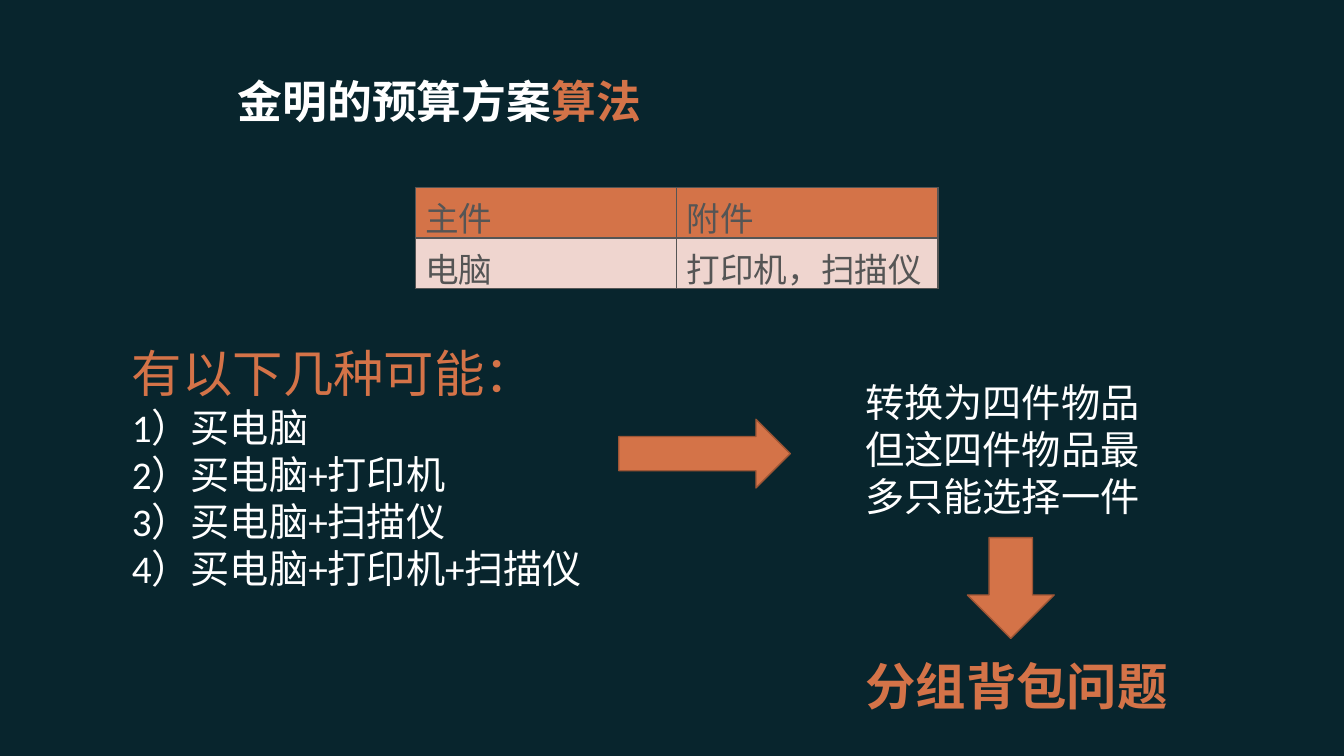
from dataclasses import dataclass

from lxml import etree
from pptx import Presentation
from pptx.dml.color import RGBColor
from pptx.enum import shapes as sh, text as tx
from pptx.oxml import ns
from pptx.util import Pt


@dataclass(frozen=True)
class Theme:
    back: str = "08252D"
    accent: str = "D47348"
    edge: str = "9D5535"
    pale: str = "EFD5CF"
    grey: str = "555555"
    white: str = "FFFFFF"
    title: int = 32
    head: int = 36
    body: int = 28
    cell: int = 24
    latin: str = "Calibri"
    bold: str = "Arial"
    asian: str = "Noto Sans CJK SC"


@dataclass(frozen=True)
class Box:
    x: float
    y: float
    w: float
    h: float

    def args(self) -> tuple:
        return Pt(self.x), Pt(self.y), Pt(self.w), Pt(self.h)


@dataclass(frozen=True)
class Style:
    size: int
    font: str
    color: str
    bold: bool = False


@dataclass(frozen=True)
class Arrow:
    kind: sh.MSO_SHAPE
    box: Box


@dataclass(frozen=True)
class Note:
    box: Box
    lines: tuple
    style: Style


T = Theme()
HEAD = Style(T.head, T.asian, T.accent)
BODY = Style(T.body, T.latin, T.white)
CELL = Style(T.cell, T.latin, T.grey)

TITLE = (
    ("金明的预算方案", Style(T.title, T.bold, T.white, True)),
    ("算法", Style(T.title, T.bold, T.accent, True)),
)
PARTS = (("主件", "附件"), ("电脑", "打印机，扫描仪"))
CASES = ("买电脑", "买电脑+打印机", "买电脑+扫描仪", "买电脑+打印机+扫描仪")
NOTES = (
    Note(Box(611, 266.5, 226, 109.5), ("转换为四件物品", "但这四件物品最多只能选择一件"), BODY),
    Note(Box(611, 464.5, 264, 51), ("分组背包问题",), Style(T.head, T.asian, T.accent, True)),
)
ARROWS = (
    Arrow(sh.MSO_SHAPE.RIGHT_ARROW, Box(442, 299.5, 122.5, 49)),
    Arrow(sh.MSO_SHAPE.DOWN_ARROW, Box(691, 384, 62, 72)),
)


def rgb(code: str) -> RGBColor:
    return RGBColor.from_string(code)


def paint(fill, code: str) -> None:
    fill.solid()
    fill.fore_color.rgb = rgb(code)


def format_run(run, style: Style) -> None:
    font = run.font
    font.size, font.name, font.bold = Pt(style.size), style.font, style.bold
    font.color.rgb = rgb(style.color)
    etree.SubElement(run._r.get_or_add_rPr(), ns.qn("a:ea"), typeface=T.asian)


def format_line(line, style: Style) -> None:
    for run in line.runs:
        format_run(run, style)


def place(shape, box: Box) -> None:
    shape.left, shape.top, shape.width, shape.height = box.args()


def add_title(slide) -> None:
    shape = slide.shapes.title
    place(shape, Box(162.5, 43, 572.5, 57))
    frame = shape.text_frame
    frame.vertical_anchor = tx.MSO_ANCHOR.MIDDLE
    frame.auto_size = tx.MSO_AUTO_SIZE.NONE
    line = frame.paragraphs[0]
    line.alignment = tx.PP_ALIGN.LEFT
    for words, style in TITLE:
        run = line.add_run()
        run.text = words
        format_run(run, style)


def add_cases(slide) -> None:
    shape = slide.placeholders[1]
    place(shape, Box(87, 241, 379.5, 186.5))
    frame = shape.text_frame
    frame.auto_size = tx.MSO_AUTO_SIZE.SHAPE_TO_FIT_TEXT
    items = [f"{n}）{case}" for n, case in enumerate(CASES, 1)]
    frame.text = "\n".join(["有以下几种可能："] + items)
    for n, line in enumerate(frame.paragraphs):
        line.space_before = Pt(0)
        props = line._p.get_or_add_pPr()
        props.set("marL", "0")
        props.set("indent", "0")
        etree.SubElement(props, ns.qn("a:buNone"))
        format_line(line, BODY if n else HEAD)


def add_note(slide, note: Note) -> None:
    frame = slide.shapes.add_textbox(*note.box.args()).text_frame
    frame.word_wrap = True
    frame.auto_size = tx.MSO_AUTO_SIZE.SHAPE_TO_FIT_TEXT
    frame.text = "\n".join(note.lines)
    for line in frame.paragraphs:
        format_line(line, note.style)


def add_arrow(slide, arrow: Arrow) -> None:
    shape = slide.shapes.add_shape(arrow.kind, *arrow.box.args())
    shape.shadow.inherit = False
    paint(shape.fill, T.accent)
    shape.line.color.rgb = rgb(T.edge)
    shape.line.width = Pt(1)


def add_edges(cell) -> None:
    props = cell._tc.get_or_add_tcPr()
    for side in "LRTB":
        edge = etree.SubElement(props, ns.qn(f"a:ln{side}"), w=str(Pt(1)))
        fill = etree.SubElement(edge, ns.qn("a:solidFill"))
        etree.SubElement(fill, ns.qn("a:srgbClr"), val=T.grey)


def add_parts(slide) -> None:
    box = Box(296.5, 134, 373.5, 59)
    rows, cols = len(PARTS), len(PARTS[0])
    table = slide.shapes.add_table(rows, cols, *box.args()).table
    table.horz_banding = False
    for r, words in enumerate(PARTS):
        for c, word in enumerate(words):
            cell = table.cell(r, c)
            cell.text_frame.text = word
            format_line(cell.text_frame.paragraphs[0], CELL)
            add_edges(cell)
            paint(cell.fill, T.pale if r else T.accent)


def main() -> None:
    deck = Presentation()
    deck.slide_width, deck.slide_height = Pt(960), Pt(540)
    slide = deck.slides.add_slide(deck.slide_layouts[1])
    paint(slide.background.fill, T.back)
    add_title(slide)
    add_parts(slide)
    add_cases(slide)
    for arrow in ARROWS:
        add_arrow(slide, arrow)
    for note in NOTES:
        add_note(slide, note)
    deck.save("out.pptx")


main()
